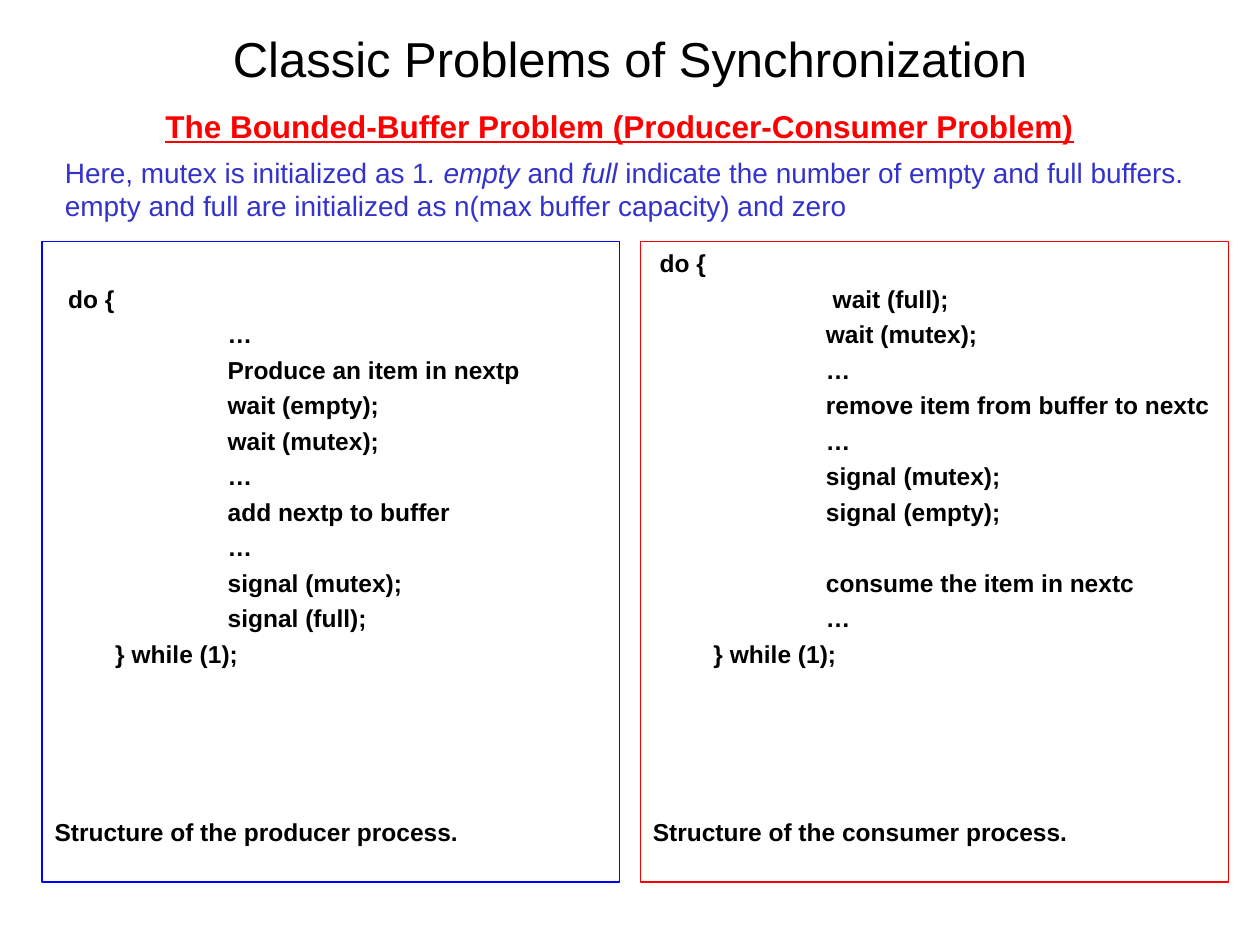
import pptx
import pptx.dml.color
import pptx.enum.shapes
import pptx.enum.text
import pptx.util

Cm, Pt = pptx.util.Cm, pptx.util.Pt
Align = pptx.enum.text.PP_ALIGN
Anchor = pptx.enum.text.MSO_ANCHOR

GAP = 3.5      # points before each code line
PITCH = 20.35  # points from one code line to the next
DEPTHS = (Cm(0), Cm(0.95), Cm(3.49))  # left indent by code depth

# Code lines: empty lines above, depth, text
MAKER = [
    (1, 0, "  do {"),
    (0, 2, "…"),
    (0, 2, "Produce an item in nextp"),
    (0, 2, "wait (empty);"),
    (0, 2, "wait (mutex);"),
    (0, 2, "…"),
    (0, 2, "add nextp to buffer"),
    (0, 2, "…"),
    (0, 2, "signal (mutex);"),
    (0, 2, "signal (full);"),
    (0, 1, "  } while (1);"),
    (4, 0, "Structure of the producer process."),
]
USER = [
    (0, 0, " do {"),
    (0, 2, " wait (full);"),
    (0, 2, "wait (mutex);"),
    (0, 2, "…"),
    (0, 2, "remove item from buffer to nextc"),
    (0, 2, "…"),
    (0, 2, "signal (mutex);"),
    (0, 2, "signal (empty);"),
    (1, 2, "consume the item in nextc"),
    (0, 2, "…"),
    (0, 1, "  } while (1);"),
    (4, 0, "Structure of the consumer process."),
]


def color(code):
    return pptx.dml.color.RGBColor.from_string(code)


def style(font, code, **form):
    """Set the font attributes given in form, and the colour."""
    for name, value in {"name": "Arial", **form}.items():
        setattr(font, name, value)
    font.color.rgb = color(code)


def label(slide, box, runs, code, align, **form):
    """Add a one-paragraph text box; runs are (text, italic) pairs."""
    frame = slide.shapes.add_textbox(*map(Cm, box)).text_frame
    frame.word_wrap = True
    frame.vertical_anchor = Anchor.MIDDLE
    para = frame.paragraphs[0]
    para.alignment = align
    for text, slant in runs:
        run = para.add_run()
        run.text = text
        style(run.font, code, italic=slant, **form)


def panel(slide, box, code, lines):
    """Add an outlined box of code."""
    kind = pptx.enum.shapes.MSO_SHAPE.RECTANGLE
    shape = slide.shapes.add_shape(kind, *map(Cm, box))
    shape.shadow.inherit = False
    shape.fill.background()
    shape.line.color.rgb = color(code)
    shape.line.width = Pt(0.75)

    frame = shape.text_frame
    frame.word_wrap = True
    frame.vertical_anchor = Anchor.TOP
    for i, (skip, depth, text) in enumerate(lines):
        para = frame.paragraphs[0] if i == 0 else frame.add_paragraph()
        para._p.get_or_add_pPr().set("marL", str(int(DEPTHS[depth])))
        para.alignment = Align.LEFT
        if i:
            para.space_before = Pt(GAP + skip * PITCH)
        else:
            frame.margin_top = Cm(0.13) + Pt(skip * PITCH)
        run = para.add_run()
        run.text = text
        style(run.font, "000000", size=Pt(14), bold=True)


def main():
    deck = pptx.Presentation()
    deck.slide_width, deck.slide_height = Cm(25.4), Cm(19.05)
    slide = deck.slides.add_slide(deck.slide_layouts[6])

    # Headings
    label(slide, (1.9, 0, 21.6, 2.33),
          [("Classic Problems of Synchronization", False)],
          "000000", Align.CENTER, size=Pt(28))
    label(slide, (0, 1.9, 24.98, 1.27),
          [("The Bounded-Buffer Problem (Producer-Consumer Problem)", False)],
          "FF0000", Align.CENTER, size=Pt(18), bold=True, underline=True)

    # Introduction
    label(slide, (1.06, 3.17, 23.5, 1.27),
          [("Here, mutex is initialized as 1", False),
           (". empty ", True),
           ("and ", False),
           ("full ", True),
           ("indicate the number of empty and full buffers. empty and full "
            "are initialized as n(max buffer capacity) and zero", False)],
          "3333CC", Align.LEFT, size=Pt(16))

    # The two processes
    panel(slide, (0.85, 4.87, 11.64, 12.91), "0000FF", MAKER)
    panel(slide, (12.91, 4.87, 11.85, 12.91), "FF0000", USER)

    deck.save("out.pptx")


if __name__ == "__main__":
    main()
